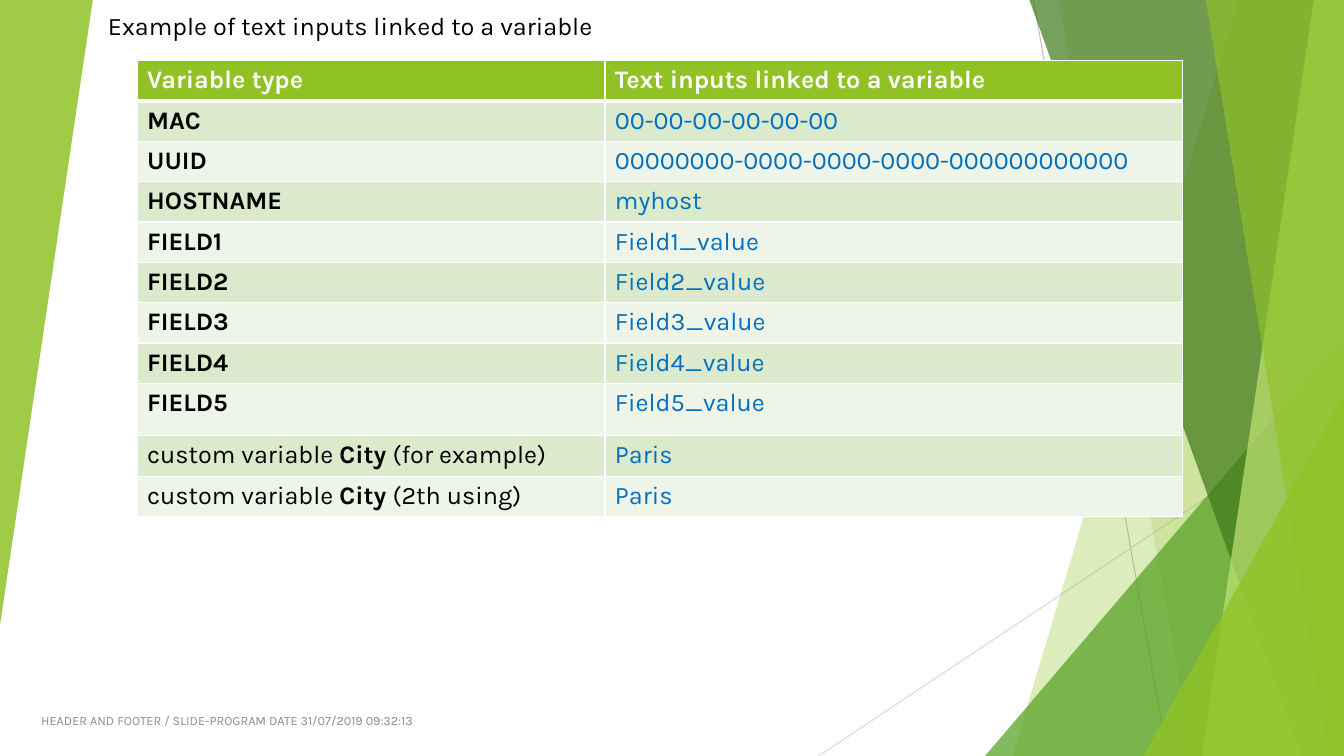
"""Build a slide listing text inputs linked to variables."""
from dataclasses import dataclass

from lxml import etree
from pptx import Presentation
from pptx import util as u
from pptx.dml.color import RGBColor
from pptx.enum import shapes, text
from pptx.oxml.ns import qn


@dataclass(frozen=True)
class Theme:
    font: str = "Karla"
    body_size: float = 18
    footer_size: float = 9
    green: str = "90C226"
    mid_green: str = "54A021"
    dark_green: str = "3F7819"
    pale_green: str = "C0E474"
    bands: tuple[str, str] = ("EEF4E8", "DBE9CD")
    white: str = "FFFFFF"
    black: str = "000000"
    blue: str = "0070C0"
    grey: str = "8C8C8C"
    thin: float = 1
    thick: float = 3
    hairline: float = 0.75


@dataclass(frozen=True)
class Ray:
    start: tuple[float, float]
    end: tuple[float, float]
    color: str


@dataclass(frozen=True)
class Panel:
    top_left: float
    bottom_left: float
    color: str
    opacity: int


@dataclass(frozen=True)
class Wedge:
    left: float
    top: float
    width: float
    height: float
    color: str
    opacity: int
    rotation: float = 0


@dataclass(frozen=True)
class Run:
    words: str
    color: str
    bold: bool = False
    size: float = Theme.body_size


THEME = Theme()
WIDTH, HEIGHT = 13.33, 7.5
COLUMNS = (4.64, 5.73)
ROW_HEIGHT, TALL_ROW_HEIGHT = 0.37, 0.52
TALL_ROW = 8

RAYS = (
    Ray((10.25, 0), (11.58, HEIGHT), "BFBFBF"),
    Ray((WIDTH, 4.03), (8.12, HEIGHT), "D9D9D9"),
)
FACETS = (
    Panel(12.28, 10.04, THEME.green, 30),
    Panel(10.5, 11.83, THEME.green, 20),
    Wedge(9.77, 3.33, 3.56, 4.17, THEME.mid_green, 72),
    Panel(10.21, 12.91, THEME.dark_green, 70),
    Panel(13.03, 11.92, THEME.pale_green, 70),
    Panel(11.96, 13.18, THEME.green, 65),
    Wedge(11.34, 3.93, 1.99, 3.57, THEME.green, 80),
    Wedge(0, 0, 0.92, 6.2, THEME.green, 85, 180),
)
VARIABLES = (
    ("MAC", "00-00-00-00-00-00"),
    ("UUID", "00000000-0000-0000-0000-000000000000"),
    ("HOSTNAME", "myhost"),
    *((f"FIELD{n}", f"Field{n}_value") for n in range(1, 6)),
)
CITY_USES = ("(for example)", "(2th using)")


def rgb(color: str) -> RGBColor:
    return RGBColor.from_string(color)


def add_runs(para, runs: list[Run]) -> None:
    for run in runs:
        span = para.add_run()
        span.text = run.words
        span.font.name = THEME.font
        span.font.size = u.Pt(run.size)
        span.font.bold = run.bold
        span.font.color.rgb = rgb(run.color)


def draw_ray(page, ray: Ray) -> None:
    points = [u.Inches(value) for value in (*ray.start, *ray.end)]
    line = page.shapes.add_connector(shapes.MSO_CONNECTOR.STRAIGHT, *points)
    line.line.color.rgb = rgb(ray.color)
    line.line.width = u.Pt(THEME.hairline)
    etree.SubElement(line._element.spPr, qn("a:effectLst"))


def paint(shape, color: str, opacity: int) -> None:
    shape.shadow.inherit = False
    shape.line.fill.background()
    shape.fill.solid()
    shape.fill.fore_color.rgb = rgb(color)
    tint = shape._element.spPr.find(f"{qn('a:solidFill')}/{qn('a:srgbClr')}")
    etree.SubElement(tint, qn("a:alpha"), val=str(opacity * 1000))


def draw_panel(page, panel: Panel) -> None:
    corners = [(panel.top_left, 0), (WIDTH, 0), (WIDTH, HEIGHT),
               (panel.bottom_left, HEIGHT)]
    points = [(u.Inches(x), u.Inches(y)) for x, y in corners]
    outline = page.shapes.build_freeform(*points[0])
    outline.add_line_segments(points[1:], close=True)
    paint(outline.convert_to_shape(), panel.color, panel.opacity)


def draw_wedge(page, wedge: Wedge) -> None:
    frame = (wedge.left, wedge.top, wedge.width, wedge.height)
    shape = page.shapes.add_shape(
        shapes.MSO_SHAPE.ISOSCELES_TRIANGLE, *map(u.Inches, frame))
    shape.adjustments[0] = 1
    shape.rotation = wedge.rotation
    paint(shape, wedge.color, wedge.opacity)


def place(box, left: float, top: float, width: float, height: float) -> None:
    box.left, box.top = u.Inches(left), u.Inches(top)
    box.width, box.height = u.Inches(width), u.Inches(height)


def write_title(page) -> None:
    box = page.shapes.title
    place(box, 0.97, 0.05, 5.04, 0.4)
    frame = box.text_frame
    frame.word_wrap = False
    frame.auto_size = text.MSO_AUTO_SIZE.SHAPE_TO_FIT_TEXT
    frame.vertical_anchor = text.MSO_ANCHOR.TOP
    para = frame.paragraphs[0]
    para.alignment = text.PP_ALIGN.LEFT
    add_runs(para, [Run("Example of text inputs linked to a variable", THEME.black)])


def write_footer(page) -> None:
    box = page.shapes.add_textbox(*map(u.Inches, (0.11, 6.95, 4.08, 0.4)))
    frame = box.text_frame
    frame.word_wrap = True
    frame.vertical_anchor = text.MSO_ANCHOR.MIDDLE
    para = frame.paragraphs[0]
    para.alignment = text.PP_ALIGN.RIGHT
    words = "HEADER AND FOOTER / SLIDE-PROGRAM DATE 31/07/2019 09:32:13"
    add_runs(para, [Run(words, THEME.grey, size=THEME.footer_size)])


def add_borders(cell, top: float, bottom: float) -> None:
    widths = {"L": THEME.thin, "R": THEME.thin, "T": top, "B": bottom}
    for side, width in widths.items():
        edge = etree.SubElement(cell._tc.get_or_add_tcPr(), qn(f"a:ln{side}"),
                                w=str(u.Pt(width)))
        fill = etree.SubElement(edge, qn("a:solidFill"))
        etree.SubElement(fill, qn("a:srgbClr"), val=THEME.white)


def table_rows() -> list[tuple[list[Run], list[Run]]]:
    header = ("Variable type", "Text inputs linked to a variable")
    rows = [tuple([Run(words, THEME.white, True)] for words in header)]
    rows += [([Run(name, THEME.black, True)], [Run(value, THEME.blue)])
             for name, value in VARIABLES]
    rows += [([Run("custom variable ", THEME.black), Run("City ", THEME.black, True),
               Run(use, THEME.black)], [Run("Paris", THEME.blue)])
             for use in CITY_USES]
    return rows


def draw_table(page) -> None:
    rows = table_rows()
    frame = (1.36, 0.6, sum(COLUMNS), ROW_HEIGHT * len(rows))
    table = page.shapes.add_table(
        len(rows), len(COLUMNS), *map(u.Inches, frame)).table
    for column, width in zip(table.columns, COLUMNS):
        column.width = u.Inches(width)
    for index, row in enumerate(rows):
        height = TALL_ROW_HEIGHT if index == TALL_ROW else ROW_HEIGHT
        table.rows[index].height = u.Inches(height)
        for cell, runs in zip(table.rows[index].cells, row):
            add_borders(cell, THEME.thick if index == 1 else THEME.thin,
                        THEME.thick if index == 0 else THEME.thin)
            cell.fill.solid()
            color = THEME.bands[index % 2] if index else THEME.green
            cell.fill.fore_color.rgb = rgb(color)
            add_runs(cell.text_frame.paragraphs[0], runs)


def main() -> None:
    deck = Presentation()
    deck.slide_width, deck.slide_height = u.Inches(WIDTH), u.Inches(HEIGHT)
    page = deck.slides.add_slide(deck.slide_layouts.get_by_name("Title Only"))
    for ray in RAYS:
        draw_ray(page, ray)
    for facet in FACETS:
        draw = draw_panel if isinstance(facet, Panel) else draw_wedge
        draw(page, facet)
    draw_table(page)
    write_footer(page)
    write_title(page)
    deck.save("out.pptx")


if __name__ == "__main__":
    main()
